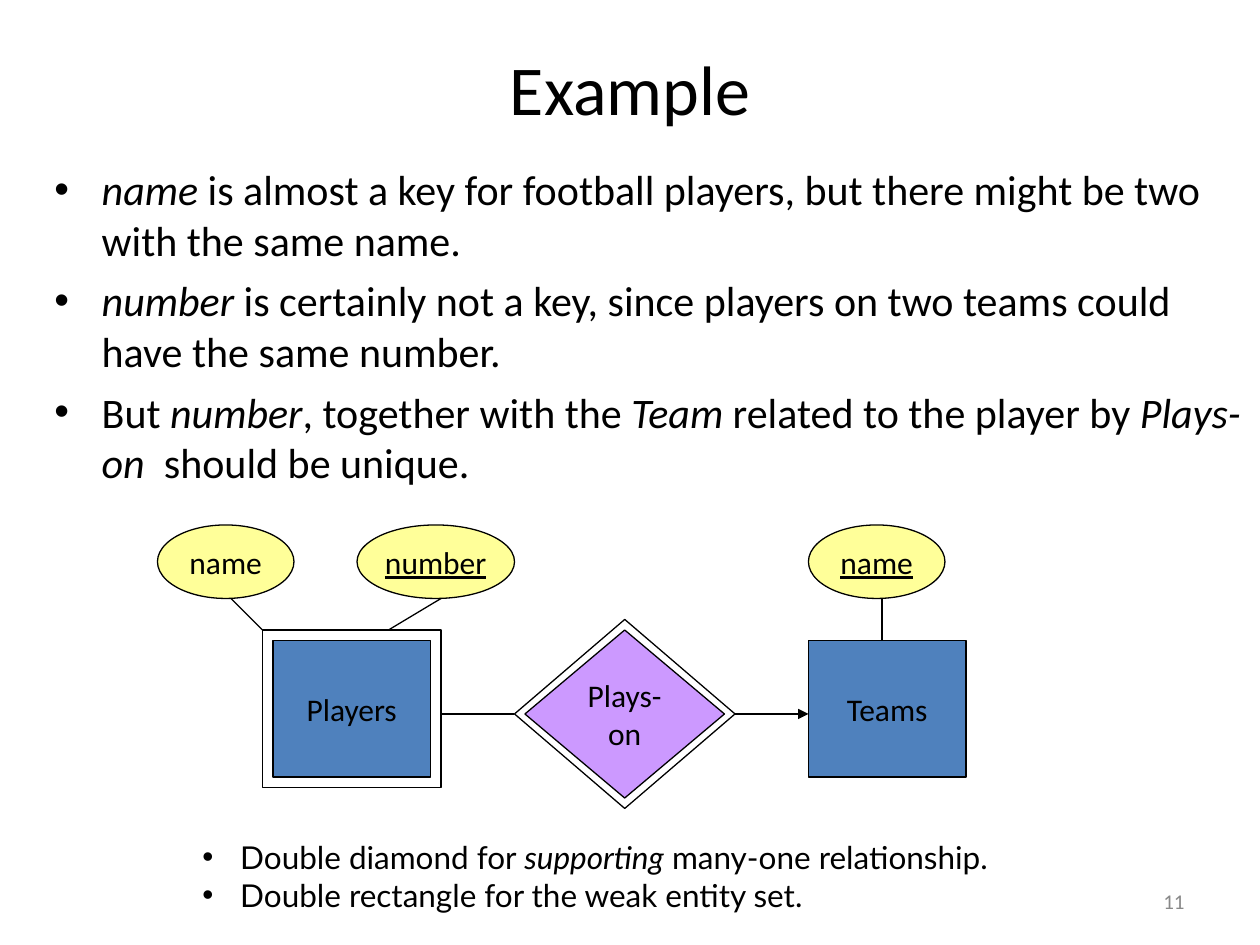
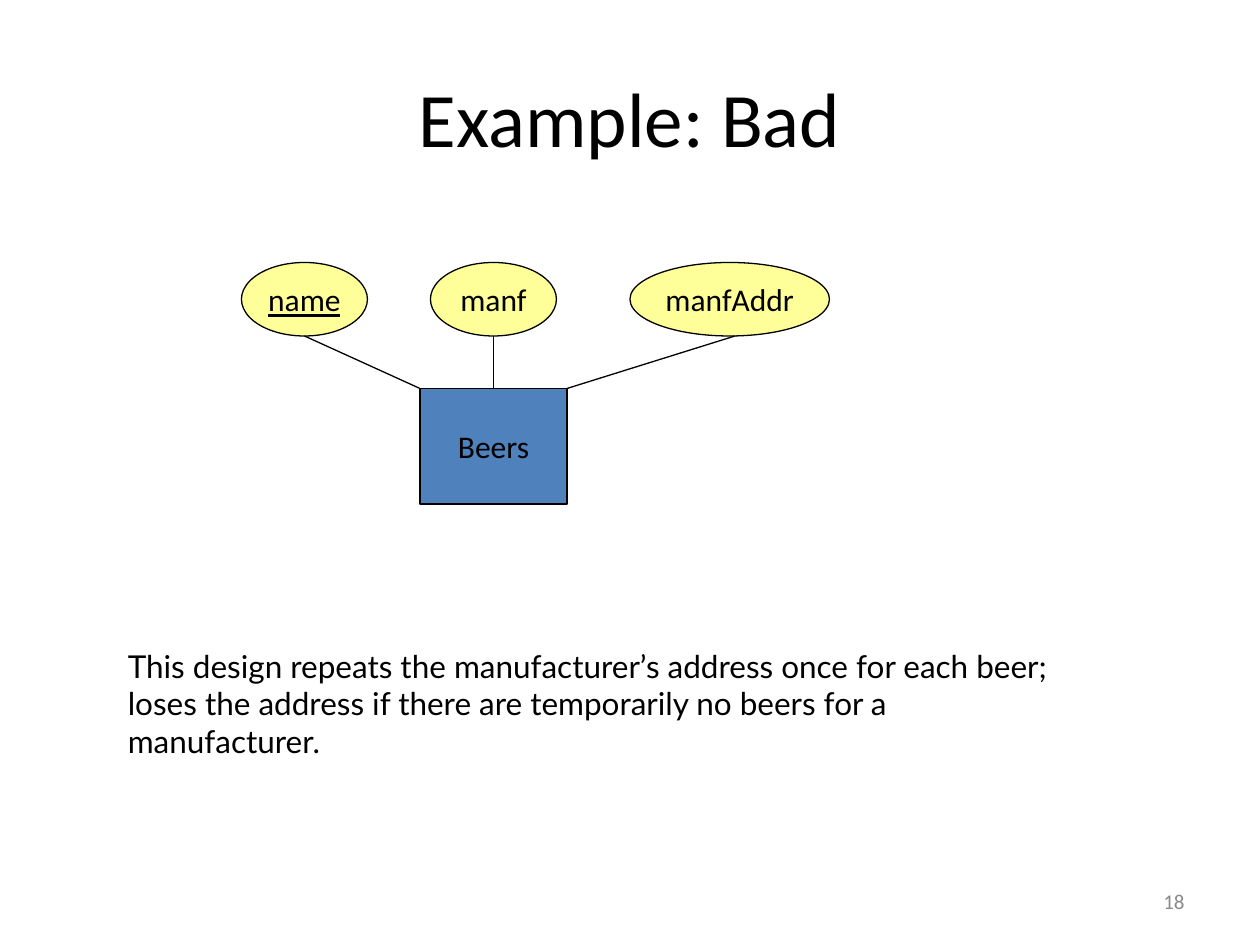
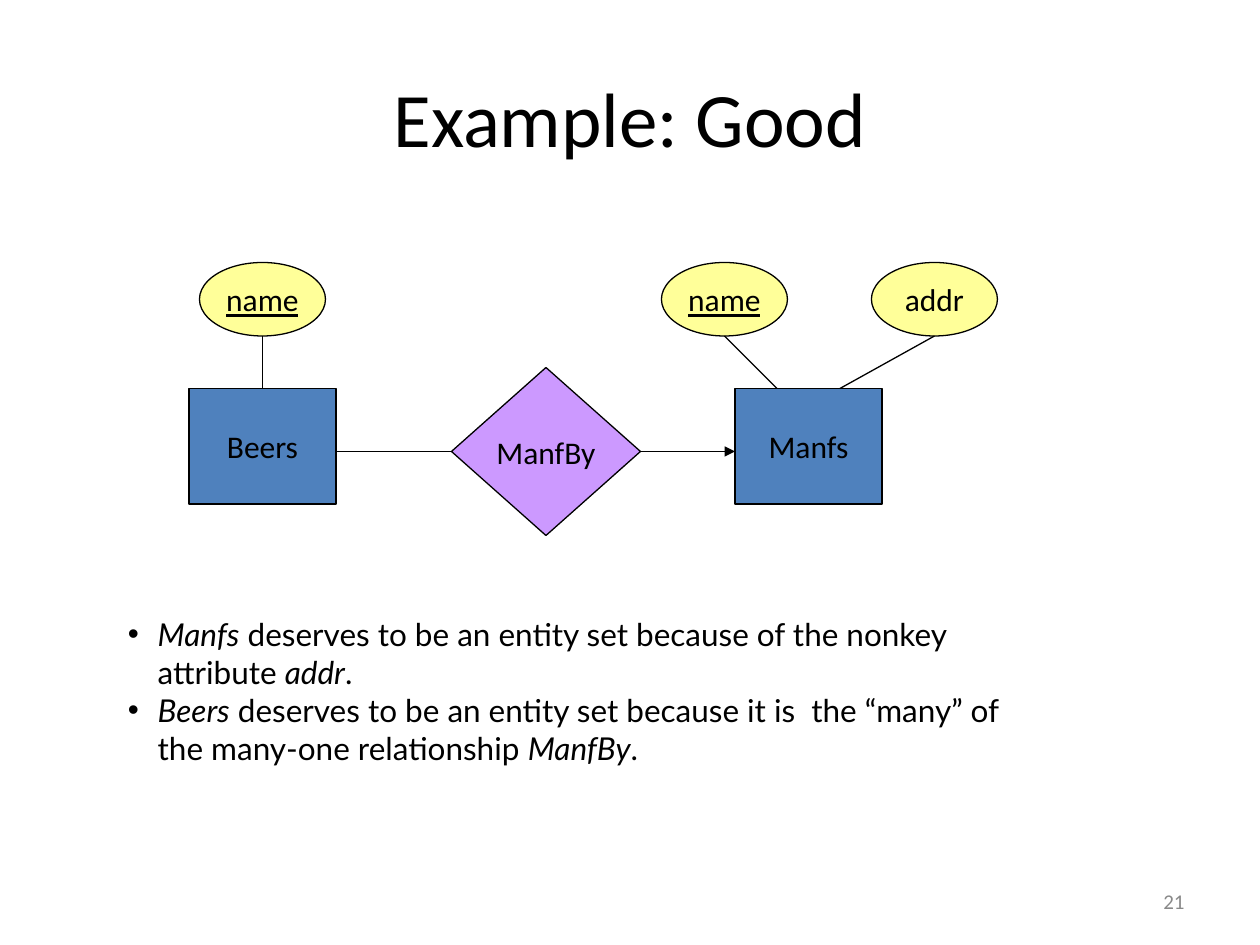
from lxml import etree
from pptx import Presentation
from pptx.dml.color import RGBColor
from pptx.enum.shapes import MSO_CONNECTOR, MSO_SHAPE
from pptx.enum.text import MSO_ANCHOR, PP_ALIGN
from pptx.oxml.ns import qn
from pptx.util import Cm, Pt

RECTANGLE, DIAMOND, OVAL = MSO_SHAPE.RECTANGLE, MSO_SHAPE.DIAMOND, MSO_SHAPE.OVAL
STRAIGHT = MSO_CONNECTOR.STRAIGHT
LEFT, CENTER, RIGHT = PP_ALIGN.LEFT, PP_ALIGN.CENTER, PP_ALIGN.RIGHT
TOP, MIDDLE = MSO_ANCHOR.TOP, MSO_ANCHOR.MIDDLE
TITLE_ONLY = 5
BLACK, GRAY, WHITE = "000000", "898989", "FFFFFF"
BLUE, PURPLE, YELLOW = "4F81BD", "CC99FF", "FFFF99"
HEADING_FONT, NOTE_FONT = "Calibri", "Lato"
CELLS_PER_INCH = 12


def color(value):
    return RGBColor.from_string(value)


def grid(*cells):
    return [Cm(cell * 2.54 / CELLS_PER_INCH) for cell in cells]


def apply(target, values):
    for name, value in values.items():
        setattr(target, name, value)


class Deck:
    def __init__(self):
        self.presentation = Presentation()
        width, height = grid(120, 90)
        apply(self.presentation, {"slide_width": width, "slide_height": height})
        self.slide = None

    def start(self, title, number, height=15, size=44):
        layout = self.presentation.slide_layouts[TITLE_ONLY]
        self.slide = self.presentation.slides.add_slide(layout)
        background = self.slide.background.fill
        background.solid()
        background.fore_color.rgb = color(WHITE)
        heading = self.slide.shapes.title
        self.place(heading, 6, 3.6, 108, height)
        self.fill_text(heading, [title], size, align=CENTER, anchor=MIDDLE)
        self.text((86, 83.4, 28, 4.8), [str(number)], 12, hue=GRAY,
                  align=RIGHT, anchor=MIDDLE)

    def place(self, shape, *cells):
        apply(shape, dict(zip(("left", "top", "width", "height"), grid(*cells))))

    def fill_text(self, shape, lines, size=18, font=HEADING_FONT, hue=BLACK, align=LEFT,
                  anchor=TOP, wrap=True, underline=False, indent=0, gap=0):
        frame = shape.text_frame
        apply(frame, {"word_wrap": wrap, "vertical_anchor": anchor})
        for position, line in enumerate(lines):
            paragraph = frame.paragraphs[0] if position == 0 else frame.add_paragraph()
            apply(paragraph, {"alignment": align, "space_before": Pt(gap if position else 0)})
            if indent:
                self.bullet(paragraph, indent)
            for part, words in enumerate(line.split("*")):
                if words:
                    run = paragraph.add_run()
                    run.text = words
                    apply(run.font, {"name": font, "size": Pt(size),
                                     "italic": part % 2 == 1, "underline": underline})
                    run.font.color.rgb = color(hue)

    def bullet(self, paragraph, indent):
        margin = grid(indent)[0]
        properties = paragraph._p.get_or_add_pPr()
        properties.set("marL", str(margin))
        properties.set("indent", str(-margin))
        etree.SubElement(properties, qn("a:buFont"), typeface="Arial")
        etree.SubElement(properties, qn("a:buChar"), char="•")

    def text(self, box, lines, size=18, **style):
        self.fill_text(self.slide.shapes.add_textbox(*grid(*box)), lines, size, **style)

    def node(self, kind, box, lines=(), fill=None, underline=False):
        shape = self.slide.shapes.add_shape(kind, *grid(*box))
        shape.shadow.inherit = False
        if fill:
            shape.fill.solid()
            shape.fill.fore_color.rgb = color(fill)
        else:
            shape.fill.background()
        shape.line.color.rgb = color(BLACK)
        shape.line.width = Pt(0.75)
        self.fill_text(shape, lines, align=CENTER, anchor=MIDDLE, wrap=False,
                       underline=underline)

    def entity(self, name, *box):
        self.node(RECTANGLE, box, [name], BLUE)

    def relationship(self, lines, *box):
        self.node(DIAMOND, box, lines, PURPLE)

    def attribute(self, name, left, top, width=12, key=False):
        self.node(OVAL, (left, top, width, 7), [name], YELLOW, key)

    def double(self, kind, left, top, width, height):
        self.node(kind, (left - 1, top - 1, width + 2, height + 2))

    def link(self, *ends, arrow=False):
        connector = self.slide.shapes.add_connector(STRAIGHT, *grid(*ends))
        connector.line.color.rgb = color(BLACK)
        connector.line.width = Pt(0.75)
        properties = connector._element.spPr
        if arrow:
            etree.SubElement(properties.find(qn("a:ln")), qn("a:tailEnd"), type="triangle")
        etree.SubElement(properties, qn("a:effectLst"))


def weak_entity_slide(deck):
    deck.start("Example", 11, height=9.4, size=40)
    deck.text((4, 15, 116, 65), [
        "*name* is almost a key for football players, but there might be two with the same name.",
        "*number* is certainly not a key, since players on two teams could have the same number.",
        "But *number*, together with the *Team* related to the player by *Plays-on*  should be unique.",
    ], 24, indent=4.5, gap=6)
    players, plays_on = (26, 61, 15, 13), (50, 60, 19, 16)
    deck.entity("Players", *players)
    deck.entity("Teams", 77, 61, 15, 13)
    deck.double(RECTANGLE, *players)
    deck.relationship(["Plays-", "on"], *plays_on)
    deck.double(DIAMOND, *plays_on)
    deck.attribute("name", 15, 50, 13)
    deck.attribute("number", 34, 50, 15, key=True)
    deck.attribute("name", 77, 50, 13, key=True)
    deck.link(42, 68, 49, 68)
    deck.link(70, 68, 77, 68, arrow=True)
    deck.link(22, 57, 25, 60)
    deck.link(42, 57, 37, 60)
    deck.link(84, 57, 84, 61)
    deck.text((18.1, 79.2, 81.4, 8.4), [
        "Double diamond for *supporting* many-one relationship.",
        "Double rectangle for the weak entity set.",
    ], font=NOTE_FONT, indent=3.6)


def bad_design_slide(deck):
    deck.start("Example: Bad", 18)
    deck.entity("Beers", 40, 37, 14, 11)
    deck.attribute("name", 23, 25, key=True)
    deck.attribute("manf", 41, 25)
    deck.attribute("manfAddr", 60, 25, 19)
    for upper, lower in ((29, 40), (47, 47), (70, 54)):
        deck.link(upper, 32, lower, 37)
    deck.text((11, 61, 90.2, 12), [
        "This design repeats the manufacturer’s address once for each beer; loses the "
        "address if there are temporarily no beers for a manufacturer.",
    ], font=NOTE_FONT)


def good_design_slide(deck):
    deck.start("Example: Good", 21)
    deck.entity("Beers", 18, 37, 14, 11)
    deck.entity("Manfs", 70, 37, 14, 11)
    deck.relationship(["ManfBy"], 43, 35, 18, 16)
    deck.attribute("name", 19, 25, key=True)
    deck.attribute("name", 63, 25, key=True)
    deck.attribute("addr", 83, 25)
    for upper, lower in ((25, 25), (69, 74), (89, 80)):
        deck.link(upper, 32, lower, 37)
    deck.link(43, 43, 32, 43)
    deck.link(61, 43, 70, 43, arrow=True)
    deck.text((11, 58, 90.2, 15.6), [
        "*Manfs* deserves to be an entity set because of the nonkey attribute *addr*.",
        "*Beers* deserves to be an entity set because it is  the “many” of the many-one "
        "relationship *ManfBy*.",
    ], font=NOTE_FONT, indent=2.85)


def main():
    deck = Deck()
    weak_entity_slide(deck)
    bad_design_slide(deck)
    good_design_slide(deck)
    deck.presentation.save("out.pptx")


if __name__ == "__main__":
    main()
